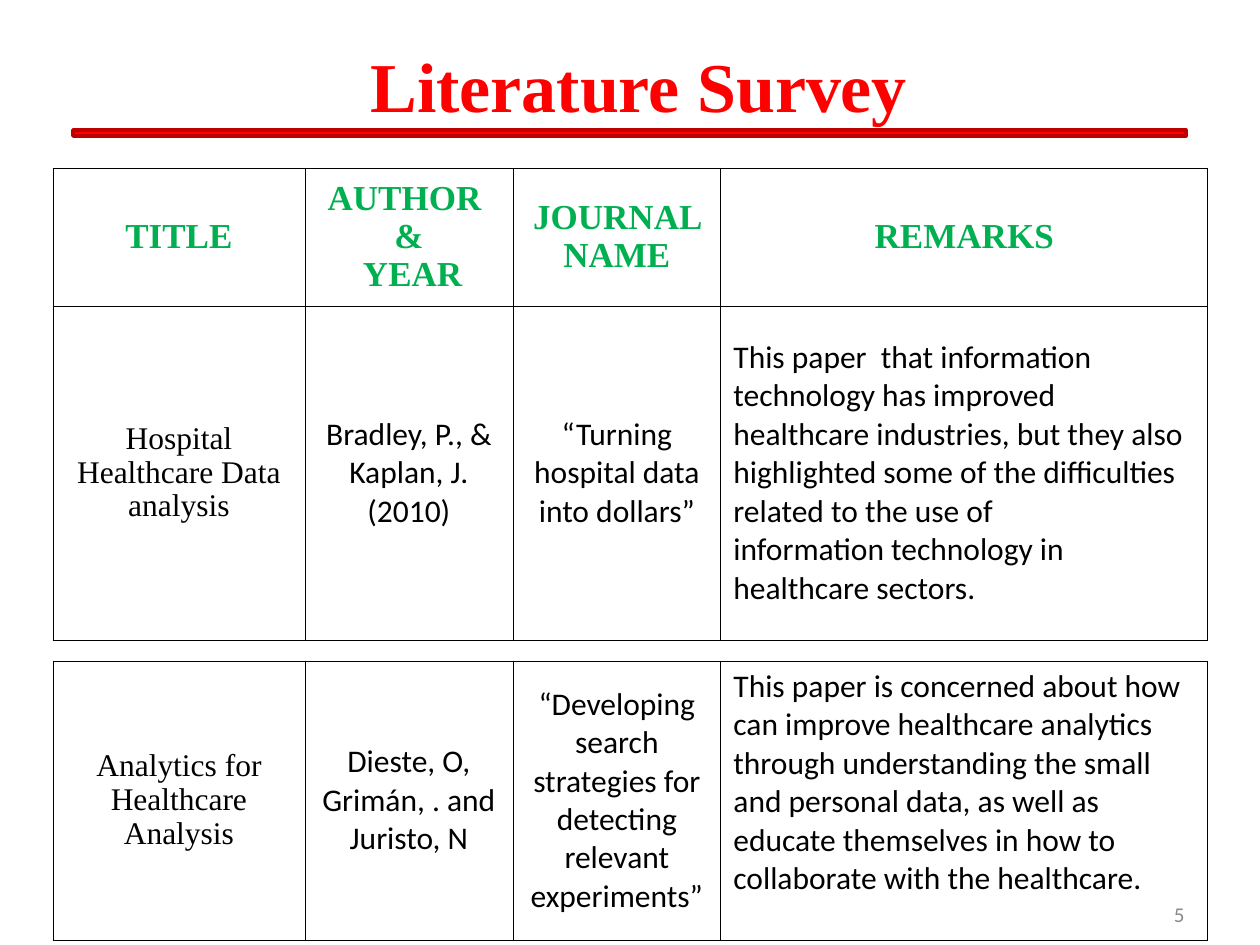
import pptx
import pptx.util
import pptx.dml.color
import pptx.enum.shapes
import pptx.enum.text
import pptx.oxml
import pptx.oxml.ns

PX = 914400 // 126
RED = pptx.dml.color.RGBColor(0xFF, 0x00, 0x00)
DARK_RED = pptx.dml.color.RGBColor(0xC0, 0x00, 0x00)
GREEN = pptx.dml.color.RGBColor(0x00, 0xB0, 0x50)
BLACK = pptx.dml.color.RGBColor(0x00, 0x00, 0x00)
GRAY = pptx.dml.color.RGBColor(0x89, 0x89, 0x89)
SERIF = "Times New Roman"
SANS = "Calibri"
CENTER = pptx.enum.text.PP_ALIGN.CENTER
LEFT = pptx.enum.text.PP_ALIGN.LEFT
RIGHT = pptx.enum.text.PP_ALIGN.RIGHT
MIDDLE = pptx.enum.text.MSO_ANCHOR.MIDDLE


def add_run(paragraph, text, size, font_name, color, bold=False, italic=False):
    run = paragraph.add_run()
    run.text = text
    run.font.size = pptx.util.Pt(size)
    run.font.name = font_name
    run.font.color.rgb = color
    run.font.bold = bold
    run.font.italic = italic


def add_borders(cell):
    properties = cell._tc.get_or_add_tcPr()
    for position, side in enumerate(("lnL", "lnR", "lnT", "lnB")):
        properties.insert(position, pptx.oxml.parse_xml(
            f'<a:{side} {pptx.oxml.ns.nsdecls("a")} w="5715"><a:solidFill>'
            f'<a:srgbClr val="{BLACK}"/></a:solidFill></a:{side}>'))


presentation = pptx.Presentation()
presentation.slide_width = pptx.util.Inches(10)
presentation.slide_height = pptx.util.Inches(7.5)
slide = presentation.slides.add_slide(presentation.slide_layouts[5])

title = slide.shapes.title
title.left, title.top, title.width, title.height = 63 * PX, 0, 1134 * PX, 168 * PX
title.text_frame.vertical_anchor = MIDDLE
paragraph = title.text_frame.paragraphs[0]
paragraph.alignment = CENTER
add_run(paragraph, " ", 40, SERIF, RED, bold=True, italic=True)
add_run(paragraph, "Literature Survey", 40, SERIF, RED, bold=True)

rule = slide.shapes.add_shape(pptx.enum.shapes.MSO_SHAPE.RECTANGLE,
                              73 * PX, 130 * PX, 1113 * PX, 6 * PX)
rule.shadow.inherit = False
rule.fill.solid()
rule.fill.fore_color.rgb = RED
rule.line.color.rgb = DARK_RED
rule.line.width = pptx.util.Pt(2)

column_widths = [252, 208, 208, 487]
header = [["TITLE"], ["AUTHOR ", "&", " YEAR"], ["JOURNAL NAME"], ["REMARKS"]]
hospital_paper = [
    ["Hospital Healthcare Data analysis"],
    ["Bradley, P., & Kaplan, J. (2010)"],
    ["“Turning hospital data into dollars”"],
    ["This paper  that information technology has improved healthcare industries, "
     "but they also highlighted some of the difficulties related to the use of",
     "information technology in healthcare sectors."],
]
analytics_paper = [
    ["Analytics for Healthcare Analysis"],
    ["Dieste, O, Grimán, . and Juristo, N"],
    ["“Developing search strategies for detecting relevant experiments”"],
    ["This paper is concerned about how can improve healthcare analytics through "
     "understanding the small and personal data, as well as educate themselves "
     "in how to collaborate with the healthcare."],
]
surveys = [
    (168, [(138, header), (334, hospital_paper)]),
    (661, [(279, analytics_paper)]),
]

for top, rows in surveys:
    height = sum(row_height for row_height, row in rows)
    table = slide.shapes.add_table(len(rows), len(column_widths), 53 * PX, top * PX,
                                   sum(column_widths) * PX, height * PX).table
    table.first_row = False
    table.horz_banding = False
    for column, width in zip(table.columns, column_widths):
        column.width = width * PX
    for row_index, (row_height, row) in enumerate(rows):
        table.rows[row_index].height = row_height * PX
        for column_index, lines in enumerate(row):
            cell = table.cell(row_index, column_index)
            cell.fill.background()
            cell.vertical_anchor = MIDDLE
            add_borders(cell)
            is_header = row is header
            is_serif = is_header or column_index == 0
            for line_index, line in enumerate(lines):
                frame = cell.text_frame
                paragraph = frame.add_paragraph() if line_index else frame.paragraphs[0]
                paragraph.alignment = LEFT if column_index == 3 and not is_header else CENTER
                paragraph.line_spacing = 0.97 if is_serif else 1.0
                add_run(paragraph, line, 20 if is_header else 18,
                        SERIF if is_serif else SANS,
                        GREEN if is_header else BLACK, bold=is_header)

table.cell(0, 3).margin_bottom = 42 * PX

number_box = slide.shapes.add_textbox(903 * PX, 894 * PX, 294 * PX, 40 * PX)
number_box.text_frame.word_wrap = True
number_box.text_frame.vertical_anchor = MIDDLE
paragraph = number_box.text_frame.paragraphs[0]
paragraph.alignment = RIGHT
add_run(paragraph, "5", 12, SANS, GRAY)

presentation.save("out.pptx")
